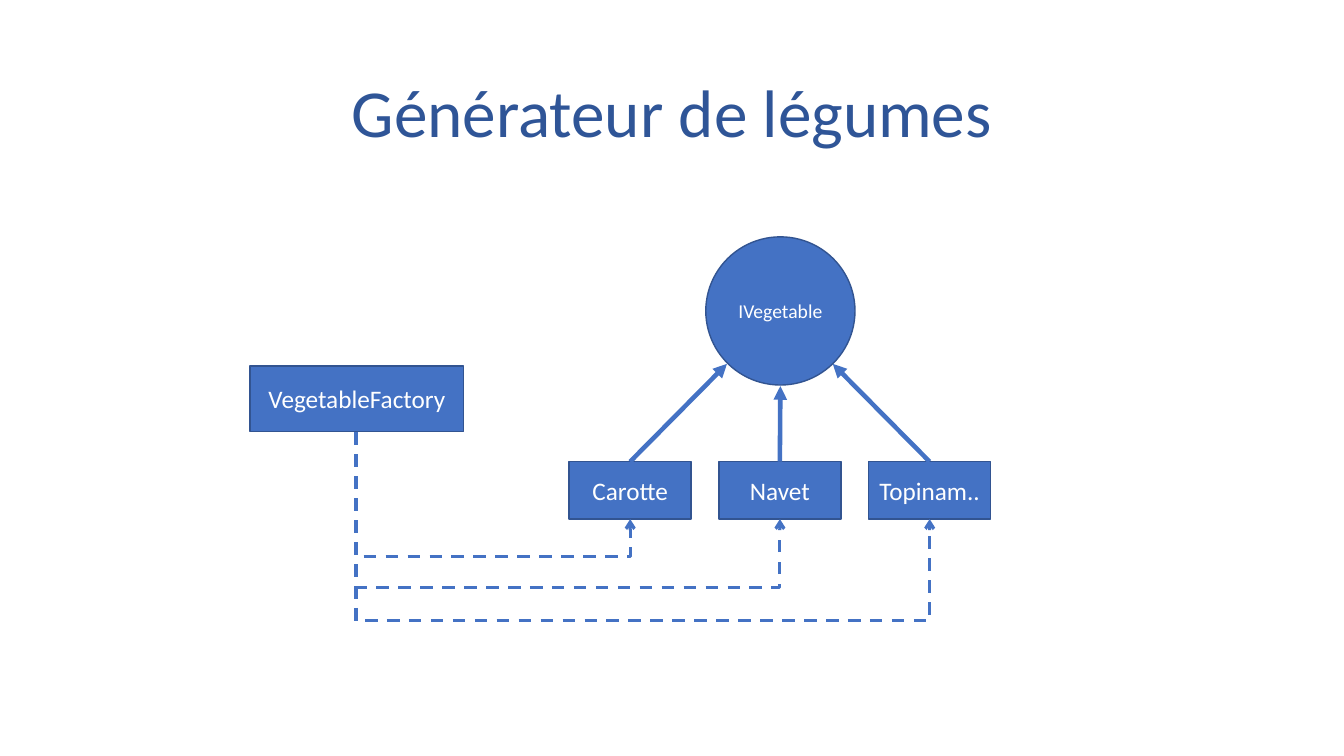
from lxml import etree
from pptx import Presentation
from pptx.dml.color import RGBColor
from pptx.enum.dml import MSO_LINE
from pptx.enum.shapes import MSO_CONNECTOR, MSO_SHAPE
from pptx.enum.text import MSO_ANCHOR, MSO_AUTO_SIZE, PP_ALIGN
from pptx.oxml.ns import qn
from pptx.util import Inches, Pt

RECTANGLE, OVAL = MSO_SHAPE.RECTANGLE, MSO_SHAPE.OVAL
STRAIGHT, ELBOW = MSO_CONNECTOR.STRAIGHT, MSO_CONNECTOR.ELBOW
DASH = MSO_LINE.DASH
CENTER, MIDDLE, TOP = PP_ALIGN.CENTER, MSO_ANCHOR.MIDDLE, MSO_ANCHOR.TOP
FONT = "Calibri"
BLUE = RGBColor(0x44, 0x72, 0xC4)
OUTLINE = RGBColor(0x32, 0x54, 0x91)
TITLE_BLUE = RGBColor(0x2F, 0x55, 0x97)
WHITE = RGBColor(0xFF, 0xFF, 0xFF)

deck = Presentation()
deck.slide_width, deck.slide_height = Inches(13.33), Inches(7.5)
page = deck.slides.add_slide(deck.slide_layouts[5])


def add_node(kind, left, top, width, height, label, size=18):
    node = page.shapes.add_shape(kind, Inches(left), Inches(top), Inches(width), Inches(height))
    node.shadow.inherit = False
    node.fill.solid()
    node.fill.fore_color.rgb = BLUE
    node.line.color.rgb = OUTLINE
    node.line.width = Pt(1)
    frame = node.text_frame
    frame.word_wrap = False
    frame.vertical_anchor = MIDDLE
    para = frame.paragraphs[0]
    para.text = label
    para.alignment = CENTER
    para.font.name, para.font.size, para.font.color.rgb = FONT, Pt(size), WHITE


def add_arrow(kind, start, end, width, head):
    arrow = page.shapes.add_connector(kind, *(Inches(value) for value in start + end))
    arrow.line.color.rgb = BLUE
    arrow.line.width = Pt(width)
    if kind == ELBOW:
        arrow.line.dash_style = DASH
    etree.SubElement(arrow.line._get_or_add_ln(), qn("a:tailEnd"), type=head)
    etree.SubElement(arrow._element.spPr, qn("a:effectLst"))
    return arrow


title = page.shapes.title
title.left, title.top, title.width, title.height = (
    Inches(2.94), Inches(0.65), Inches(7.45), Inches(0.91))
title.text_frame.auto_size = MSO_AUTO_SIZE.NONE
title.text_frame.vertical_anchor = TOP
para = title.text_frame.paragraphs[0]
para.text = "Générateur de légumes"
para.alignment = CENTER
para.font.name, para.font.size, para.font.color.rgb = FONT, Pt(48), TITLE_BLUE

add_node(OVAL, 7, 2.35, 1.48, 1.47, "IVegetable", 14)
add_node(RECTANGLE, 2.48, 3.63, 2.12, 0.65, "VegetableFactory")

# Each vegetable: its label, where it meets the interface, and the level of its factory link
vegetables = [
    ("Carotte", (7.21, 3.61), 5.52),
    ("Navet", (7.74, 3.83), 5.83),
    ("Topinam..", (8.26, 3.61), 6.16),
]
factory_x, factory_bottom = 3.53, 4.29
box_width, box_top, box_height = 1.21, 4.58, 0.57
box_bottom = box_top + box_height
drop = box_bottom - factory_bottom

for index, (label, contact, level) in enumerate(vegetables):
    center = 6.25 + 1.485 * index
    add_node(RECTANGLE, center - box_width / 2, box_top, box_width, box_height, label)
    add_arrow(STRAIGHT, (center, box_top), contact, 3.25, "triangle")

    link = add_arrow(ELBOW, (factory_x, factory_bottom), (center, box_bottom), 2.25, "arrow")
    # A quarter turn makes the elbow leave downwards, so width and height swap about the centre
    span = center - factory_x
    link.left = Inches((factory_x + center - drop) / 2)
    link.top = Inches((factory_bottom + box_bottom - span) / 2)
    link.width, link.height = Inches(drop), Inches(span)
    frame = link._element.spPr.find(qn("a:xfrm"))
    frame.set("rot", str(270 * 60000))
    frame.set("flipH", "1")
    adjustments = link._element.spPr.find(qn("a:prstGeom")).get_or_add_avLst()
    bend = round((level - factory_bottom) / drop * 100000)
    etree.SubElement(adjustments, qn("a:gd"), name="adj1", fmla=f"val {bend}")

deck.save("out.pptx")
